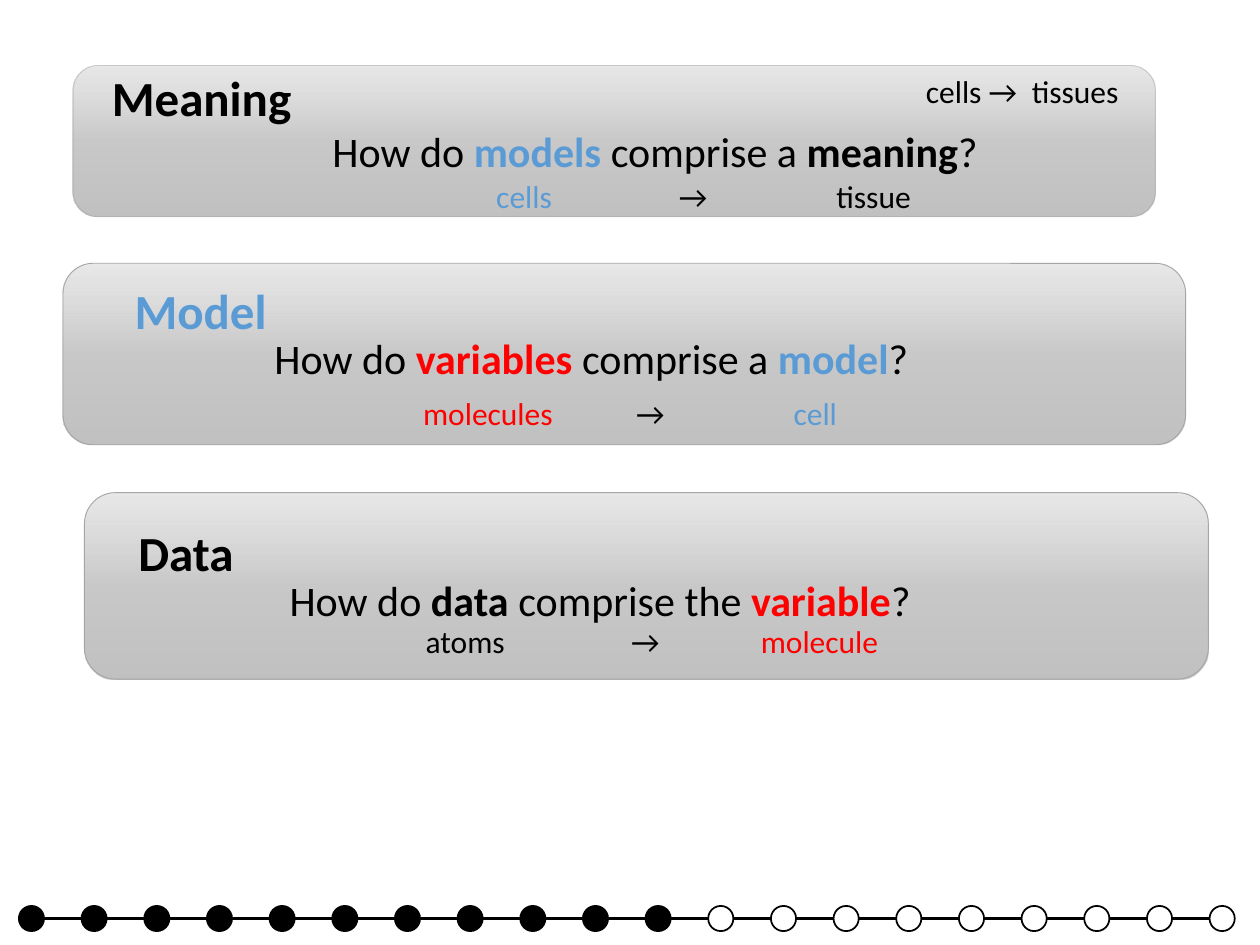
from lxml import etree
from pptx import Presentation
from pptx.dml.color import RGBColor
from pptx.enum import shapes, text
from pptx.oxml import parse_xml
from pptx.oxml.ns import qn
from pptx.util import Inches, Pt

BLACK = RGBColor(0, 0, 0)
WHITE = RGBColor(255, 255, 255)
RED = RGBColor(255, 0, 0)
BLUE = RGBColor(0x5B, 0x9B, 0xD5)
GREY = RGBColor(0xA5, 0xA5, 0xA5)

GRADIENT = (
    '<a:gradFill xmlns:a="http://schemas.openxmlformats.org/drawingml/2006/main">'
    '<a:gsLst>'
    '<a:gs pos="0"><a:srgbClr val="D2D2D2"><a:alpha val="50000"/></a:srgbClr></a:gs>'
    '<a:gs pos="50000"><a:srgbClr val="C8C8C8"/></a:gs>'
    '<a:gs pos="100000"><a:srgbClr val="C0C0C0"/></a:gs>'
    '</a:gsLst><a:lin ang="5400000" scaled="0"/></a:gradFill>')

DOTS, DONE = 20, 11
FIRST, LAST, TOP, SIZE = 0.15, 9.6, 7.19, 0.2


def add_card(slide, box, faint=False):
    """Rounded panel with a grey gradient; faint halves the outline's opacity."""
    card = slide.shapes.add_shape(
        shapes.MSO_SHAPE.ROUNDED_RECTANGLE, *map(Inches, box))
    card.shadow.inherit = False
    card.line.color.rgb = GREY
    card.line.width = Pt(0.5)
    props = card._element.spPr
    props.find(qn("a:prstGeom")).addnext(parse_xml(GRADIENT))
    if faint:
        color = props.find(qn("a:ln")).find(".//" + qn("a:srgbClr"))
        etree.SubElement(color, qn("a:alpha")).set("val", "50000")


def add_text(slide, box, size, runs, tabs=()):
    """Text box of (text, colour, bold) runs, with left tab stops in inches."""
    frame = slide.shapes.add_textbox(*map(Inches, box)).text_frame
    frame.word_wrap = True
    frame.auto_size = text.MSO_AUTO_SIZE.SHAPE_TO_FIT_TEXT
    para = frame.paragraphs[0]
    if tabs:
        stops = etree.SubElement(para._p.get_or_add_pPr(), qn("a:tabLst"))
        for tab in tabs:
            stop = etree.SubElement(stops, qn("a:tab"))
            stop.set("pos", str(Inches(tab)))
            stop.set("algn", "l")
    for words, color, bold in runs:
        run = para.add_run()
        run.text = words
        run.font.name = "Calibri"
        run.font.size = Pt(size)
        run.font.bold = bold
        run.font.color.rgb = color


def add_level(slide, card, head, ask, example, faint=False):
    """One panel with its heading, question and example line."""
    add_card(slide, card, faint)
    box, words, color = head
    add_text(slide, box, 28, [(words, color, True)])
    box, part, verb, whole = ask
    add_text(slide, box, 24, [
        ("How do ", BLACK, False), (*part, True), (verb, BLACK, False),
        (*whole, True), ("?", BLACK, False)])
    box, tabs, part, whole = example
    add_text(slide, box, 18, [
        (*part, False), ("\t→\t", BLACK, False), (*whole, False)], tabs)


def add_progress(slide):
    """Row of dots on a line, the finished ones filled black."""
    mid = Inches(TOP + SIZE / 2)
    line = slide.shapes.add_connector(
        shapes.MSO_CONNECTOR.STRAIGHT, Inches(FIRST), mid, Inches(LAST + SIZE), mid)
    line.line.color.rgb = BLACK
    line.line.width = Pt(1.5)
    etree.SubElement(line._element.spPr, qn("a:effectLst"))
    step = (LAST - FIRST) / (DOTS - 1)
    for i in range(DOTS):
        dot = slide.shapes.add_shape(
            shapes.MSO_SHAPE.OVAL, Inches(FIRST + i * step), Inches(TOP),
            Inches(SIZE), Inches(SIZE))
        dot.shadow.inherit = False
        dot.fill.solid()
        dot.fill.fore_color.rgb = BLACK if i < DONE else WHITE
        dot.line.color.rgb = BLACK
        dot.line.width = Pt(1)


def main():
    deck = Presentation()
    deck.slide_width, deck.slide_height = Inches(10), Inches(7.5)
    slide = deck.slides.add_slide(deck.slide_layouts[6])

    add_level(
        slide, (0.67, 3.91, 8.92, 1.48),
        ((1, 4.1, 1.28, 0.57), "Data", BLACK),
        ((2.2, 4.51, 5.18, 0.5), ("data", BLACK), " comprise the ", ("variable", RED)),
        ((3.28, 4.89, 4.22, 0.4), (1.63, 2.66), ("atoms", BLACK), ("molecule", RED)))
    add_level(
        slide, (0.5, 2.09, 8.91, 1.44),
        ((0.97, 2.18, 1.26, 0.57), "Model", BLUE),
        ((2.08, 2.59, 5.28, 0.5), ("variables ", RED), "comprise a ", ("model", BLUE)),
        ((3.26, 3.08, 4.57, 0.4), (1.69, 2.94), ("molecules", RED), ("cell", BLUE)))
    add_level(
        slide, (0.58, 0.52, 8.59, 1.2),
        ((0.79, 0.49, 2.1, 0.57), "Meaning", BLACK),
        ((2.54, 0.95, 5.37, 0.5), ("models ", BLUE), "comprise a ", ("meaning", BLACK)),
        ((3.84, 1.36, 4.57, 0.4), (1.45, 2.7), ("cells", BLUE), ("tissue", BLACK)),
        faint=True)
    add_text(slide, (7.25, 0.52, 2.69, 0.4), 18,
             [("cells →\ttissues", BLACK, False)], [0.84])
    add_progress(slide)
    deck.save("out.pptx")


if __name__ == "__main__":
    main()
